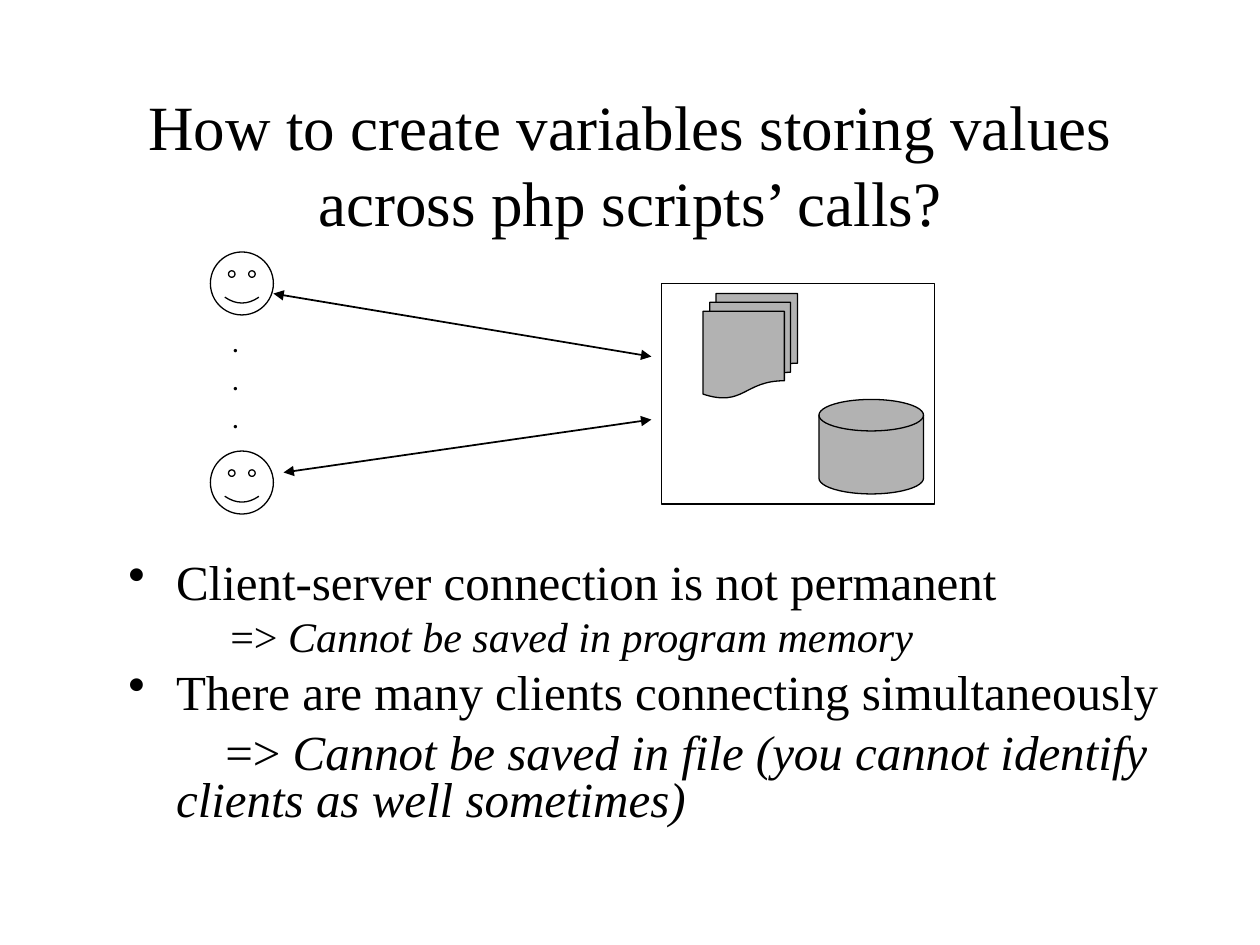
from lxml import etree
from pptx import Presentation
from pptx import util as u
from pptx.dml.color import RGBColor
from pptx.enum import shapes, text
from pptx.oxml.ns import qn

FONT = "Times New Roman"
BLACK = "000000"
GREY = "B2B2B2"


def color(value):
    return RGBColor.from_string(value)


def inches(*values):
    return [u.Inches(value) for value in values]


def add_box(page, place, anchor=text.MSO_ANCHOR.TOP):
    box = page.shapes.add_textbox(*inches(*place))
    box.text_frame.word_wrap = True
    box.text_frame.vertical_anchor = anchor
    return box


def write(box, *pieces, size, italics=(), bold=False, align=text.PP_ALIGN.LEFT,
          before=0, spacing=None, margin=0, indent=0, bullet=None):
    frame = box.text_frame
    para = frame.paragraphs[0] if not frame.text else frame.add_paragraph()
    para.alignment = align
    para.space_before = u.Pt(before)
    if spacing:
        para.line_spacing = spacing
    properties = para._p.get_or_add_pPr()
    properties.set("marL", str(u.Inches(margin)))
    properties.set("indent", str(u.Inches(indent)))
    if bullet:
        tint = etree.SubElement(properties, qn("a:buClr"))
        etree.SubElement(tint, qn("a:srgbClr"), val=BLACK)
        etree.SubElement(properties, qn("a:buChar"), char=bullet)
    for index, piece in enumerate(pieces):
        span = para.add_run()
        span.text = piece
        span.font.name = FONT
        span.font.size = u.Pt(size)
        span.font.bold = bold
        span.font.italic = index in italics
        span.font.color.rgb = color(BLACK)


def add_figure(parent, kind, place, fill=None):
    figure = parent.shapes.add_shape(kind, *inches(*place))
    figure.shadow.inherit = False
    if fill:
        figure.fill.solid()
        figure.fill.fore_color.rgb = color(fill)
    else:
        figure.fill.background()
    figure.line.color.rgb = color(BLACK)
    figure.line.width = u.Pt(0.75)
    return figure


def add_client(page, top):
    face = add_figure(page, shapes.MSO_SHAPE.SMILEY_FACE, (1.67, top, 0.5, 0.5))
    face.adjustments[0] = 0.0465


def add_server(page):
    server = page.shapes.add_group_shape()
    add_figure(server, shapes.MSO_SHAPE.RECTANGLE, (5.25, 2.25, 2.17, 1.75))
    add_figure(server, shapes.MSO_SHAPE.FLOWCHART_MULTIDOCUMENT,
               (5.58, 2.33, 0.75, 0.83), GREY)
    add_figure(server, shapes.MSO_SHAPE.FLOWCHART_MAGNETIC_DISK,
               (6.5, 3.17, 0.83, 0.75), GREY)


def add_double_arrow(page, start, end):
    arrow = page.shapes.add_connector(shapes.MSO_CONNECTOR.STRAIGHT,
                                      *inches(*start, *end))
    arrow.line.color.rgb = color(BLACK)
    arrow.line.width = u.Pt(1)
    line = arrow.line._get_or_add_ln()
    for tag in ("a:headEnd", "a:tailEnd"):
        etree.SubElement(line, qn(tag), type="triangle")
    etree.SubElement(arrow._element.spPr, qn("a:effectLst"))


def add_points(page):
    body = add_box(page, (0.92, 4.42, 8.5, 2.33))
    point = dict(size=28, before=7, spacing=0.8, margin=0.38)
    bulleted = dict(point, indent=-0.38, bullet="•")
    write(body, "Client-server connection is not permanent", **bulleted)
    write(body, "=> ", "Cannot be saved in program memory", italics=(1,),
          size=24, before=6, spacing=0.8, margin=0.81)
    write(body, "There are many clients connecting simultaneously", **bulleted)
    write(body, "=> ",
          "Cannot be saved in file (you cannot identify clients as well sometimes)",
          italics=(1,), indent=0.39, **point)


def main():
    deck = Presentation()
    deck.slide_width, deck.slide_height = inches(10, 7.5)
    page = deck.slides.add_slide(deck.slide_layouts[6])

    title = add_box(page, (0.75, 0.67, 8.5, 1.25), text.MSO_ANCHOR.MIDDLE)
    write(title, "How to create variables storing values across php scripts’ calls?",
          size=36, align=text.PP_ALIGN.CENTER)
    add_points(page)

    for top in (2, 3.58):
        add_client(page, top)
    add_server(page)
    add_double_arrow(page, (2.17, 2.33), (5.17, 2.83))
    add_double_arrow(page, (2.25, 3.75), (5.17, 3.33))

    dots = add_box(page, (1.75, 2.58, 0.42, 0.91))
    for dot in "...":
        write(dots, dot, size=12, bold=True, before=7.5)

    deck.save("out.pptx")


if __name__ == "__main__":
    main()
